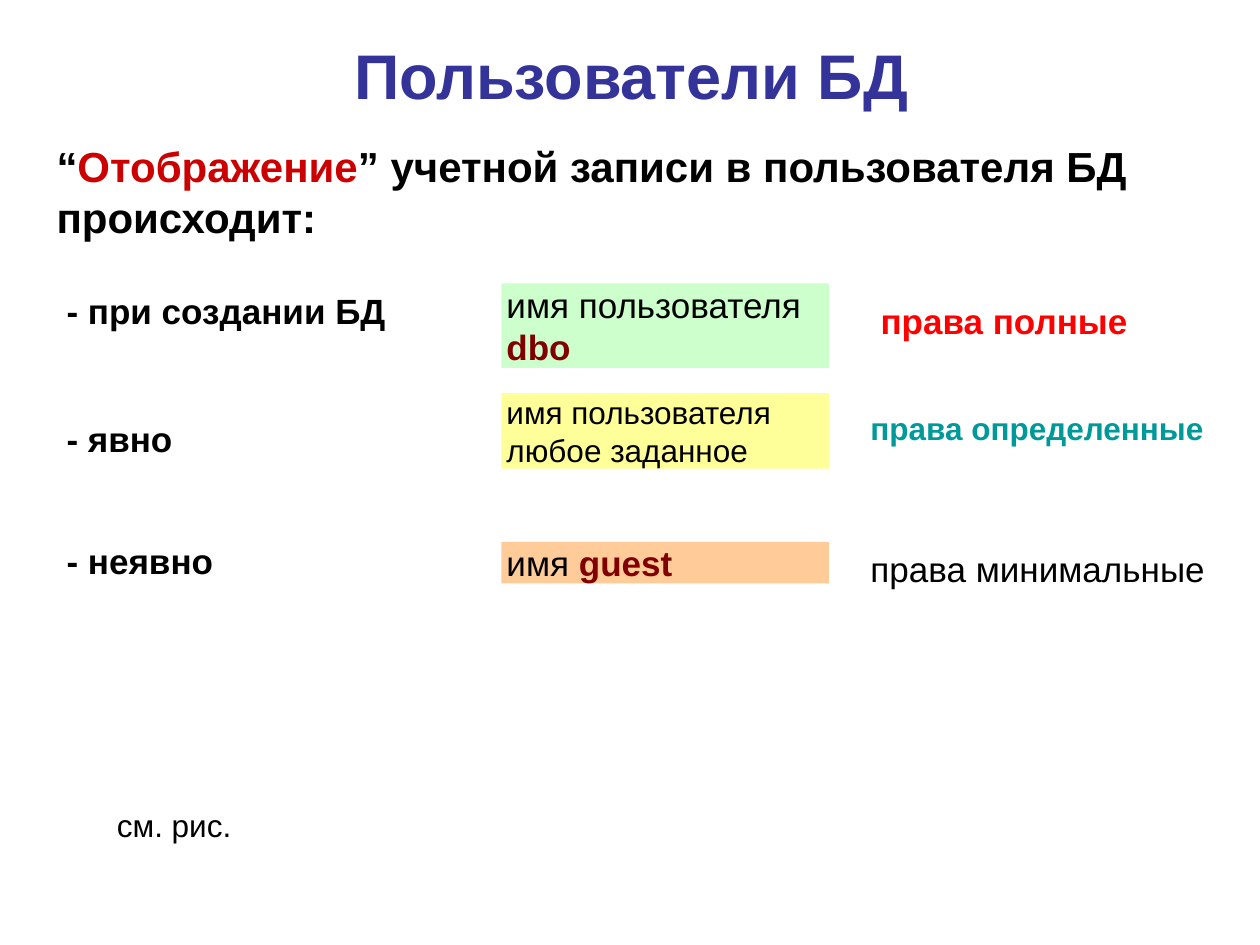
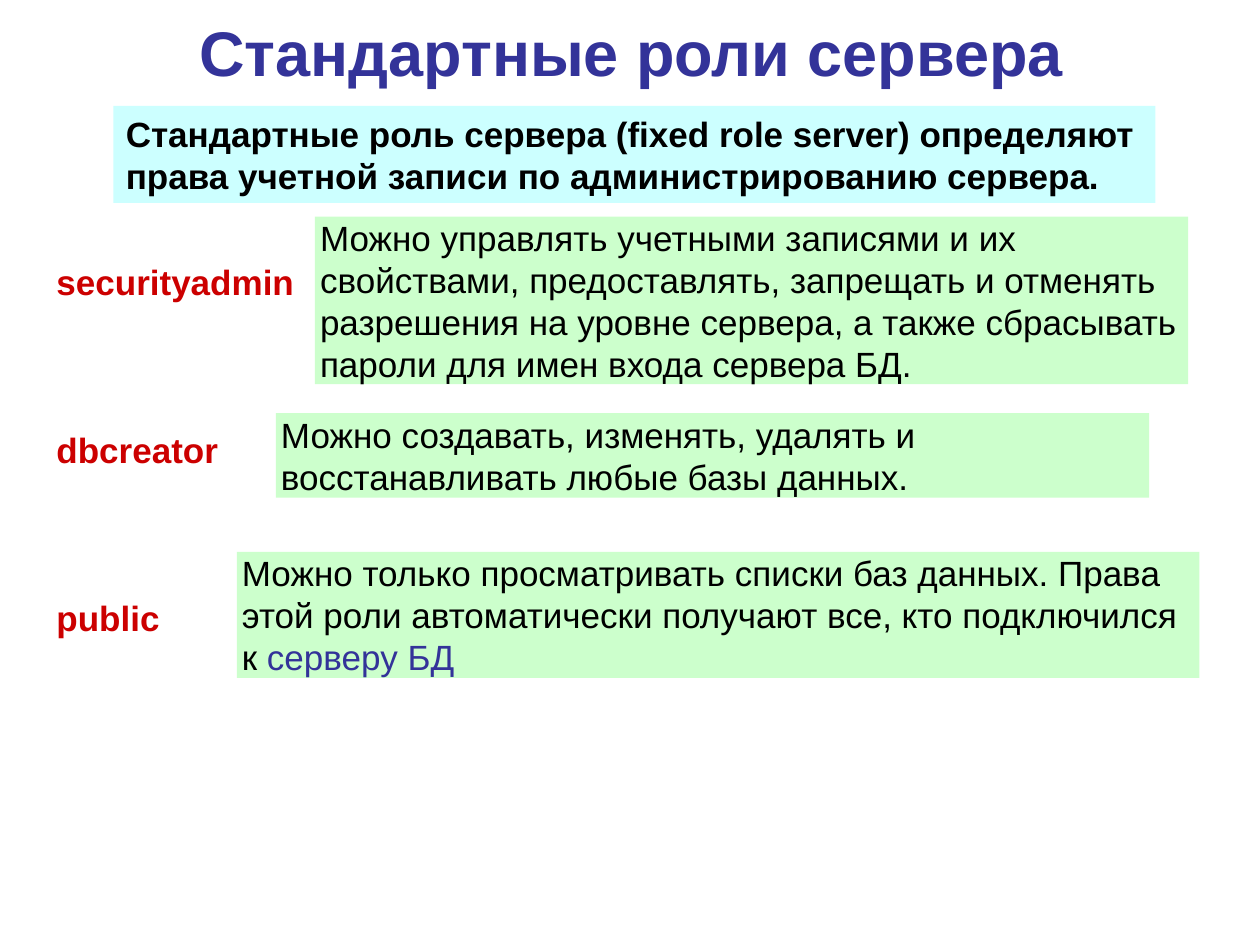
from dataclasses import dataclass

from pptx import Presentation
from pptx.dml.color import RGBColor
from pptx.enum.shapes import MSO_SHAPE
from pptx.enum.text import MSO_ANCHOR, MSO_AUTO_SIZE, PP_ALIGN
from pptx.presentation import Presentation as Deck
from pptx.slide import Slide
from pptx.text.text import TextFrame
from pptx.util import Inches, Pt

RECTANGLE = MSO_SHAPE.RECTANGLE
TOP, MIDDLE = MSO_ANCHOR.TOP, MSO_ANCHOR.MIDDLE
LEFT, CENTER = PP_ALIGN.LEFT, PP_ALIGN.CENTER
GROW, FIXED = MSO_AUTO_SIZE.SHAPE_TO_FIT_TEXT, MSO_AUTO_SIZE.NONE

FONT = "Arial"
COLORS = {
    "white": "FFFFFF", "black": "000000", "indigo": "333399",
    "crimson": "CC0000", "red": "FF0000", "maroon": "800000",
    "teal": "009999", "green": "CCFFCC", "yellow": "FFFF99",
    "orange": "FFCC99", "cyan": "CCFFFF",
}

# Grid: 100 columns by 75 rows
SLIDE_WIDTH, SLIDE_HEIGHT = Inches(10), Inches(7.5)
COLUMN, ROW = SLIDE_WIDTH / 100, SLIDE_HEIGHT / 75
WIDE_INSETS = (1, 0.5)
CARD_INSETS = (0.4, 0)
NO_INSETS = (0, 0)
LINE_POINTS = 24  # height of one 20-point line


@dataclass(frozen=True)
class Area:
    left: float
    top: float
    width: float
    height: float

    def lengths(self) -> tuple[int, int, int, int]:
        return (round(self.left * COLUMN), round(self.top * ROW),
                round(self.width * COLUMN), round(self.height * ROW))


@dataclass(frozen=True)
class Piece:
    text: str
    color: str = "black"
    bold: bool = False


@dataclass(frozen=True)
class Line:
    pieces: tuple[Piece, ...]
    space_before: float = 0


@dataclass(frozen=True)
class Block:
    area: Area
    lines: tuple[Line, ...]
    size: float = 20
    fill: str = ""
    insets: tuple[float, float] = WIDE_INSETS


def single(*pieces: Piece) -> tuple[Line, ...]:
    return (Line(pieces),)


def card(area: Area, fill: str, *pieces: Piece, size: float = 20) -> Block:
    return Block(area, single(*pieces), size, fill, CARD_INSETS)


def write(frame: TextFrame, lines: tuple[Line, ...], size: float,
          insets: tuple[float, float], alignment: PP_ALIGN = LEFT,
          anchor: MSO_ANCHOR = TOP) -> None:
    frame.word_wrap = True
    frame.vertical_anchor = anchor
    frame.margin_left = frame.margin_right = round(insets[0] * COLUMN)
    frame.margin_top = frame.margin_bottom = round(insets[1] * ROW)
    for index, line in enumerate(lines):
        paragraph = frame.add_paragraph() if index else frame.paragraphs[0]
        paragraph.alignment = alignment
        paragraph.space_before = Pt(line.space_before)
        for piece in line.pieces:
            run = paragraph.add_run()
            run.text = piece.text
            run.font.name = FONT
            run.font.size = Pt(size)
            run.font.bold = piece.bold
            run.font.color.rgb = RGBColor.from_string(COLORS[piece.color])


def draw_block(slide: Slide, block: Block) -> None:
    if block.fill:
        shape = slide.shapes.add_shape(RECTANGLE, *block.area.lengths())
        shape.shadow.inherit = False
        shape.fill.solid()
        shape.fill.fore_color.rgb = RGBColor.from_string(COLORS[block.fill])
        shape.line.fill.background()
    else:
        shape = slide.shapes.add_textbox(*block.area.lengths())
    write(shape.text_frame, block.lines, block.size, block.insets)
    shape.text_frame.auto_size = GROW


def add_slide(presentation: Deck, title: str, top: float, height: float,
              blocks: list[Block]) -> None:
    slide = presentation.slides.add_slide(presentation.slide_layouts[5])
    slide.background.fill.solid()
    slide.background.fill.fore_color.rgb = RGBColor.from_string(COLORS["white"])
    shape = slide.shapes.title
    shape.left, shape.top, shape.width, shape.height = Area(5.1, top, 90, height).lengths()
    write(shape.text_frame, single(Piece(title, "indigo", True)), 36,
          NO_INSETS, CENTER, MIDDLE)
    shape.text_frame.auto_size = FIXED
    for block in blocks:
        draw_block(slide, block)


def name_area(top: float, height: float) -> Area:
    return Area(39.8, top, 26, height)


def user_blocks() -> list[Block]:
    return [
        # Lead sentence and ways of mapping
        Block(Area(3.5, 10.7, 92.9, 9), single(
            Piece("“", bold=True), Piece("Отображение", "crimson", True),
            Piece("” учетной записи в пользователя БД происходит:", bold=True)), 24),
        Block(Area(4.3, 22.5, 34.7, 24.1), (
            Line((Piece("- при создании БД", bold=True),)),
            Line((Piece("- явно", bold=True),), 49),
            Line((Piece("- неявно", bold=True),), 45.5))),
        # User names and their rights
        card(name_area(22.5, 6.7), "green",
             Piece("имя пользователя "), Piece("dbo", "maroon", True)),
        Block(Area(68.9, 23.3, 26, 4.4), single(Piece("права полные", "red", True))),
        card(name_area(31.2, 6), "yellow",
             Piece("имя пользователя любое заданное"), size=18),
        Block(Area(68.1, 32, 29.5, 4),
              single(Piece("права определенные", "teal", True)), 18),
        card(name_area(43, 3.3), "orange",
             Piece("имя "), Piece("guest", "maroon", True)),
        Block(Area(68.1, 43, 29.5, 4.4), single(Piece("права минимальные"))),
        # Reference
        Block(Area(8.3, 63.5, 15.7, 4), single(Piece("см. рис.")), 18),
    ]


def role_blocks() -> list[Block]:
    roles = ("securityadmin", "dbcreator", "public")
    return [
        # Definition
        Block(Area(9, 8.4, 82.7, 7.7), single(Piece(
            "Стандартные роль сервера (fixed role server) определяют права "
            "учетной записи по администрированию сервера.", bold=True)), fill="cyan"),
        # Role names, three lines apart
        Block(Area(3.5, 20.2, 25.4, 40), tuple(
            Line((Piece(role, "crimson", True),), 3 * LINE_POINTS if index else 0)
            for index, role in enumerate(roles))),
        # Role descriptions
        card(Area(25, 17.2, 69.3, 13.3), "green", Piece(
            "Можно управлять учетными записями и их свойствами, предоставлять, "
            "запрещать и отменять разрешения на уровне сервера, а также "
            "сбрасывать пароли для имен входа сервера БД.")),
        card(Area(21.9, 32.8, 69.3, 6.7), "green", Piece(
            "Можно создавать, изменять, удалять и восстанавливать любые базы данных.")),
        card(Area(18.8, 43.8, 76.4, 10), "green", Piece(
            "Можно только просматривать списки баз данных. Права этой роли "
            "автоматически получают все, кто подключился к "),
            Piece("серверу БД", "indigo")),
    ]


def main() -> None:
    presentation = Presentation()
    presentation.slide_width, presentation.slide_height = SLIDE_WIDTH, SLIDE_HEIGHT
    add_slide(presentation, "Пользователи БД", 3.6, 4.6, user_blocks())
    add_slide(presentation, "Стандартные роли сервера", 1.3, 5.5, role_blocks())
    presentation.save("out.pptx")


if __name__ == "__main__":
    main()
